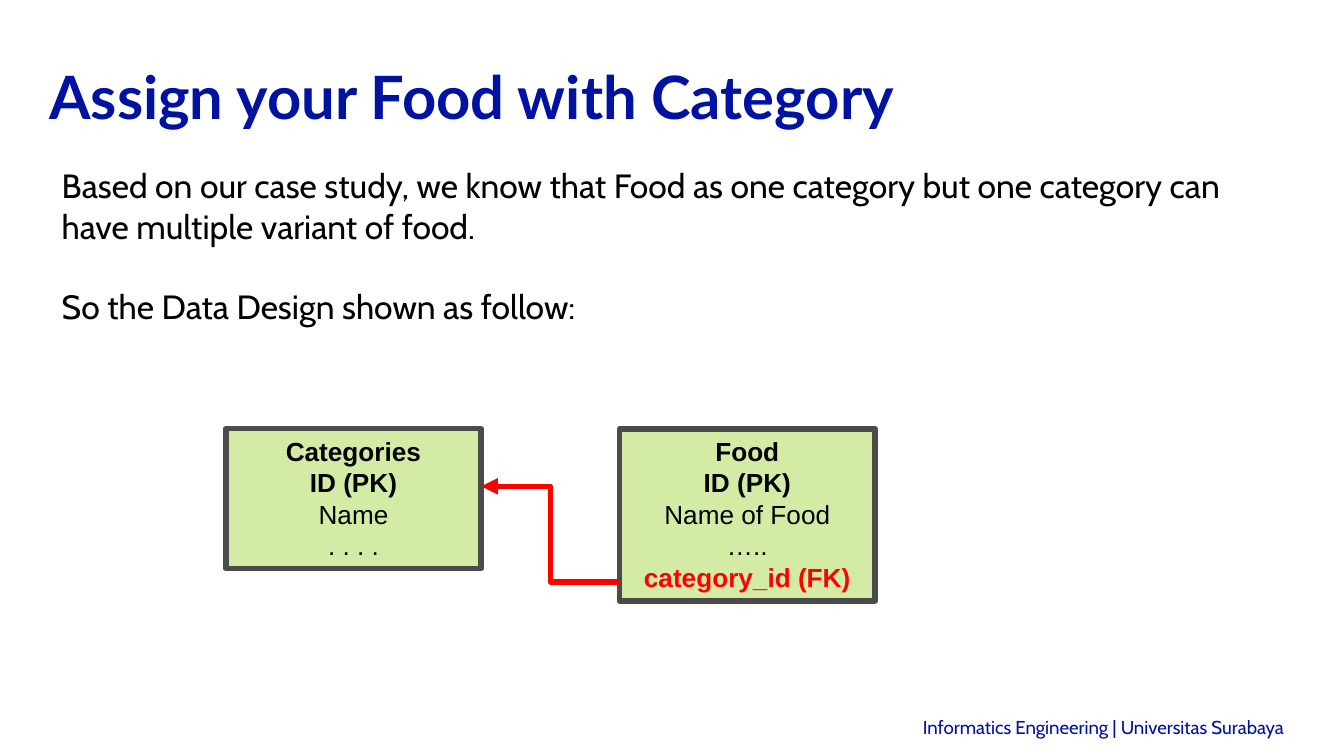
from lxml import etree
from pptx import Presentation
from pptx.dml.color import RGBColor
from pptx.enum.shapes import MSO_CONNECTOR, MSO_SHAPE
from pptx.enum.text import MSO_ANCHOR, PP_ALIGN
from pptx.oxml.ns import qn
from pptx.util import Pt

LEFT, CENTER, RIGHT = PP_ALIGN.LEFT, PP_ALIGN.CENTER, PP_ALIGN.RIGHT
TOP, MIDDLE, BOTTOM = MSO_ANCHOR.TOP, MSO_ANCHOR.MIDDLE, MSO_ANCHOR.BOTTOM

NAVY = RGBColor(0x00, 0x12, 0xA2)
BLACK = RGBColor(0x00, 0x00, 0x00)
GREEN = RGBColor(0xD4, 0xEB, 0xA6)
GRAY = RGBColor(0x4B, 0x4B, 0x4B)
RED = RGBColor(0xFF, 0x00, 0x00)

TITLE = "Assign your Food with Category"
FOOTER = "Informatics Engineering | Universitas Surabaya"
BODY = [
    "Based on our case study, we know that Food as one category "
    "but one category can have multiple variant of food.",
    "So the Data Design shown as follow:",
]
# Each row: text lines, bold, colour
CATEGORIES = [
    (["Categories", "ID (PK)"], True, BLACK),
    (["Name"], False, BLACK),
    ([". . . ."], False, BLACK),
]
FOOD = [
    (["Food", "ID (PK)"], True, BLACK),
    (["Name of Food"], False, BLACK),
    (["….."], False, BLACK),
    (["category_id (FK)"], True, RED),
]

TABLE_TOP, TABLE_WIDTH = 229.7, 136.8
CATEGORIES_LEFT, CATEGORIES_HEIGHT = 121, 75
FOOD_LEFT, FOOD_HEIGHT = 332, 92.2
PRIMARY_KEY_Y, FOREIGN_KEY_Y = 260.6, 311.8
LINE_WIDTH = 3


def prepare_frame(shape, anchor, inset_y):
    frame = shape.text_frame
    frame.word_wrap = True
    frame.vertical_anchor = anchor
    frame.margin_left = frame.margin_right = Pt(7.2)
    frame.margin_top = frame.margin_bottom = Pt(inset_y)
    return frame


def write_rows(frame, rows, font, size, align, line_spacing=None, gap=0):
    for index, (lines, bold, color) in enumerate(rows):
        para = frame.add_paragraph() if index else frame.paragraphs[0]
        para.alignment = align
        if line_spacing:
            para.line_spacing = line_spacing
        if index and gap:
            para.space_before = Pt(gap)
        for number, line in enumerate(lines):
            if number:
                para.add_line_break()
            span = para.add_run()
            span.text = line
            span.font.name = font
            span.font.size = Pt(size)
            span.font.bold = bold
            span.font.color.rgb = color


def add_text(page, place, rows, font, size, align=LEFT, anchor=TOP,
             inset_y=7.2, **spacing):
    box = page.shapes.add_textbox(*map(Pt, place))
    write_rows(prepare_frame(box, anchor, inset_y), rows, font, size, align, **spacing)


def add_entity(page, left, height, rows):
    box = page.shapes.add_shape(
        MSO_SHAPE.RECTANGLE, Pt(left), Pt(TABLE_TOP), Pt(TABLE_WIDTH), Pt(height))
    box.shadow.inherit = False
    box.fill.solid()
    box.fill.fore_color.rgb = GREEN
    box.line.color.rgb = GRAY
    box.line.width = Pt(LINE_WIDTH)
    write_rows(prepare_frame(box, TOP, 3.6), rows, "Arial", 14, CENTER)


def add_key_arrow(page):
    """Link the foreign key of Food to the primary key of Categories."""
    arrow = page.shapes.add_connector(
        MSO_CONNECTOR.ELBOW, Pt(FOOD_LEFT), Pt(FOREIGN_KEY_Y),
        Pt(CATEGORIES_LEFT + TABLE_WIDTH), Pt(PRIMARY_KEY_Y))
    arrow.line.color.rgb = RED
    arrow.line.width = Pt(LINE_WIDTH)
    etree.SubElement(arrow.line._get_or_add_ln(), qn("a:tailEnd"), type="triangle")
    etree.SubElement(arrow._element.spPr, qn("a:effectLst"))


def main():
    deck = Presentation()
    deck.slide_width, deck.slide_height = Pt(720), Pt(405)
    page = deck.slides.add_slide(deck.slide_layouts[6])
    add_text(page, (19.4, 5.8, 640.8, 72), [([TITLE], True, NAVY)],
             "Lato", 32, anchor=BOTTOM)
    add_text(page, (457.2, 380.2, 237.6, 17.3), [([FOOTER], False, NAVY)],
             "Cabin", 10, RIGHT, MIDDLE, line_spacing=1.15)
    add_text(page, (26, 85, 658, 94.3), [([text], False, BLACK) for text in BODY],
             "Cabin", 18, inset_y=3.6, gap=21.6)
    add_entity(page, CATEGORIES_LEFT, CATEGORIES_HEIGHT, CATEGORIES)
    add_entity(page, FOOD_LEFT, FOOD_HEIGHT, FOOD)
    add_key_arrow(page)
    deck.save("out.pptx")


if __name__ == "__main__":
    main()
